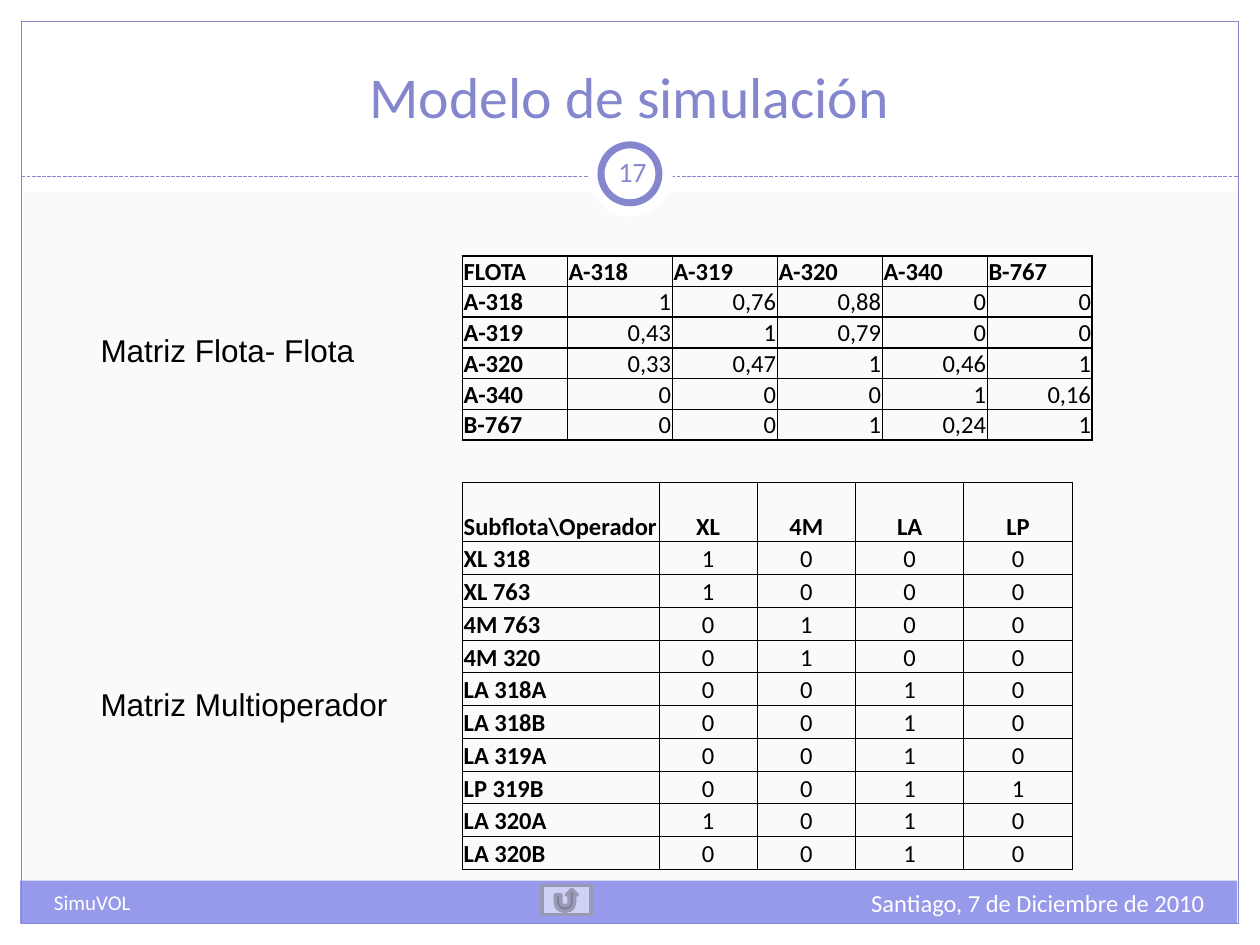
from dataclasses import dataclass

from lxml import etree
from pptx import Presentation
from pptx.dml.color import RGBColor
from pptx.enum.dml import MSO_LINE
from pptx.enum.shapes import MSO_CONNECTOR, MSO_SHAPE
from pptx.enum.text import MSO_ANCHOR, PP_ALIGN
from pptx.oxml.ns import qn
from pptx.util import Inches, Pt

RECT, OVAL = MSO_SHAPE.RECTANGLE, MSO_SHAPE.OVAL
RETURN = MSO_SHAPE.ACTION_BUTTON_RETURN
LEFT, CENTER, RIGHT = PP_ALIGN.LEFT, PP_ALIGN.CENTER, PP_ALIGN.RIGHT
TOP, MIDDLE, BOTTOM = MSO_ANCHOR.TOP, MSO_ANCHOR.MIDDLE, MSO_ANCHOR.BOTTOM
COLORS = {
    "back": "FAFAFA", "white": "FFFFFF", "black": "000000", "accent": "8587CE",
    "footer": "9799EA", "button": "CFD0F5", "button_line": "999AB5",
}


@dataclass
class Panel:
    box: tuple
    kind: int = RECT
    fill: str = ""
    line: str = ""
    width: float = 0.75


@dataclass
class Label:
    text: str
    box: tuple
    size: float
    color: str
    font: str = "Calibri"
    align: int = LEFT
    anchor: int = TOP
    margins: tuple = (0.1, 0.05, 0.1, 0.05)


@dataclass
class Matrix:
    at: tuple
    cols: list
    header_height: float
    row_height: float
    border: float
    header_align: int
    value_align: int
    rows: list


MASTER_PANELS = [
    Panel((0, 7.33, 10, 0.17), fill="white"),
    Panel((0, 0, 10, 1.52), fill="white"),
    Panel((0, 0, 0.17, 7.5), fill="white"),
    Panel((9.83, 0, 0.17, 7.5), fill="white"),
    Panel((0.16, 6.99, 9.66, 0.34), fill="footer"),
    Panel((0.17, 0.17, 9.66, 7.16), line="accent"),
]
NUMBER_RINGS = [
    Panel((4.67, 1.05, 0.67, 0.67), OVAL, "white"),
    Panel((4.77, 1.15, 0.46, 0.46), OVAL, "white", "accent", 4),
]
RETURN_BUTTON = Panel((4.3, 7.03, 0.39, 0.23), RETURN, "button", "button_line", 2)

TITLE = Label("Modelo de simulación", (0.33, 0.25, 9.33, 0.83), 33, "accent",
              align=CENTER, anchor=BOTTOM)
LABELS = [
    Label("Santiago, 7 de Diciembre de 2010", (6.33, 7, 3.33, 0.4), 14, "white", align=RIGHT),
    Label("SimuVOL", (0.33, 7.01, 3.92, 0.4), 12, "white"),
    Label("17", (4.77, 1.12, 0.5, 0.48), 16, "accent",
          align=CENTER, anchor=MIDDLE, margins=(0.05,) * 4),
    Label("Matriz Flota- Flota", (0.7, 2.58, 2.73, 0.4), 18, "black", "Arial"),
    Label("Matriz Multioperador", (0.7, 5.39, 2.73, 0.4), 18, "black", "Arial"),
]

FLEET = Matrix((3.67, 2.03), [5 / 6] * 6, 0.24, 0.24, 1, LEFT, RIGHT, [
    ["FLOTA", "A-318", "A-319", "A-320", "A-340", "B-767"],
    ["A-318", "1", "0,76", "0,88", "0", "0"],
    ["A-319", "0,43", "1", "0,79", "0", "0"],
    ["A-320", "0,33", "0,47", "1", "0,46", "1"],
    ["A-340", "0", "0", "0", "1", "0,16"],
    ["B-767", "0", "0", "1", "0,24", "1"],
])
OPERATORS = Matrix((3.67, 3.83), [1.56, 0.78, 0.78, 0.86, 0.86], 0.47, 0.26, 0.5, CENTER, CENTER, [
    ["Subflota\\Operador", "XL", "4M", "LA", "LP"],
    ["XL 318", "1", "0", "0", "0"],
    ["XL 763", "1", "0", "0", "0"],
    ["4M 763", "0", "1", "0", "0"],
    ["4M 320", "0", "1", "0", "0"],
    ["LA 318A", "0", "0", "1", "0"],
    ["LA 318B", "0", "0", "1", "0"],
    ["LA 319A", "0", "0", "1", "0"],
    ["LP 319B", "0", "0", "1", "1"],
    ["LA 320A", "1", "0", "1", "0"],
    ["LA 320B", "0", "0", "1", "0"],
])


def rgb(name: str) -> RGBColor:
    return RGBColor.from_string(COLORS[name])


def draw_panel(s, panel: Panel) -> None:
    sp = s.shapes.add_shape(panel.kind, *map(Inches, panel.box))
    sp.shadow.inherit = False
    if panel.fill:
        sp.fill.solid()
        sp.fill.fore_color.rgb = rgb(panel.fill)
    else:
        sp.fill.background()
    if panel.line:
        sp.line.color.rgb = rgb(panel.line)
        sp.line.width = Pt(panel.width)
    else:
        sp.line.fill.background()


def draw_divider(s) -> None:
    line = s.shapes.add_connector(MSO_CONNECTOR.STRAIGHT, *map(Inches, (0.17, 1.4, 9.83, 1.4)))
    line.line.color.rgb = rgb("accent")
    line.line.width = Pt(0.75)
    line.line.dash_style = MSO_LINE.SQUARE_DOT
    etree.SubElement(line.element.spPr, qn("a:effectLst"))


def write(p, text: str, size: float, color: str, font: str, align: int, bold: bool = False) -> None:
    p.alignment = align
    r = p.add_run()
    r.text = text
    for name, value in {"size": Pt(size), "name": font, "bold": bold}.items():
        setattr(r.font, name, value)
    r.font.color.rgb = rgb(color)


def fill_label(sp, label: Label) -> None:
    sp.left, sp.top, sp.width, sp.height = map(Inches, label.box)
    left, top, right, bottom = map(Inches, label.margins)
    tf = sp.text_frame
    frame_format = {"word_wrap": True, "vertical_anchor": label.anchor, "margin_left": left,
                    "margin_top": top, "margin_right": right, "margin_bottom": bottom}
    for name, value in frame_format.items():
        setattr(tf, name, value)
    write(tf.paragraphs[0], label.text, label.size, label.color, label.font, label.align)


def set_borders(cell, width: float) -> None:
    tc_pr = cell._tc.get_or_add_tcPr()
    for side in ("a:lnL", "a:lnR", "a:lnT", "a:lnB"):
        ln = etree.SubElement(tc_pr, qn(side), w=str(Pt(width)))
        fill = etree.SubElement(ln, qn("a:solidFill"))
        etree.SubElement(fill, qn("a:srgbClr"), val=COLORS["black"])


def draw_matrix(s, matrix: Matrix) -> None:
    heights = [matrix.header_height] + [matrix.row_height] * (len(matrix.rows) - 1)
    box = (*matrix.at, sum(matrix.cols), sum(heights))
    table = s.shapes.add_table(len(heights), len(matrix.cols), *map(Inches, box)).table
    table.first_row = table.horz_banding = False
    for column, width in zip(table.columns, matrix.cols):
        column.width = Inches(width)
    cell_format = {"vertical_anchor": BOTTOM, "margin_left": Inches(0.01),
                   "margin_top": Inches(0.01), "margin_right": Inches(0.01), "margin_bottom": 0}
    for i, values in enumerate(matrix.rows):
        table.rows[i].height = Inches(heights[i])
        for j, text in enumerate(values):
            cell = table.cell(i, j)
            for name, value in cell_format.items():
                setattr(cell, name, value)
            set_borders(cell, matrix.border)
            cell.fill.background()
            align = LEFT if j == 0 else matrix.header_align if i == 0 else matrix.value_align
            write(cell.text_frame.paragraphs[0], text, 14, "black", "Calibri", align,
                  i == 0 or j == 0)


def main() -> None:
    prs = Presentation()
    prs.slide_width, prs.slide_height = Inches(10), Inches(7.5)
    s = prs.slides.add_slide(prs.slide_layouts[5])
    s.background.fill.solid()
    s.background.fill.fore_color.rgb = rgb("back")
    for panel in MASTER_PANELS:
        draw_panel(s, panel)
    draw_divider(s)
    for ring in NUMBER_RINGS:
        draw_panel(s, ring)
    title = s.shapes.title
    title.element.getparent().append(title.element)
    fill_label(title, TITLE)
    for label in LABELS:
        fill_label(s.shapes.add_textbox(*map(Inches, label.box)), label)
    for matrix in (FLEET, OPERATORS):
        draw_matrix(s, matrix)
    draw_panel(s, RETURN_BUTTON)
    prs.save("out.pptx")


if __name__ == "__main__":
    main()
